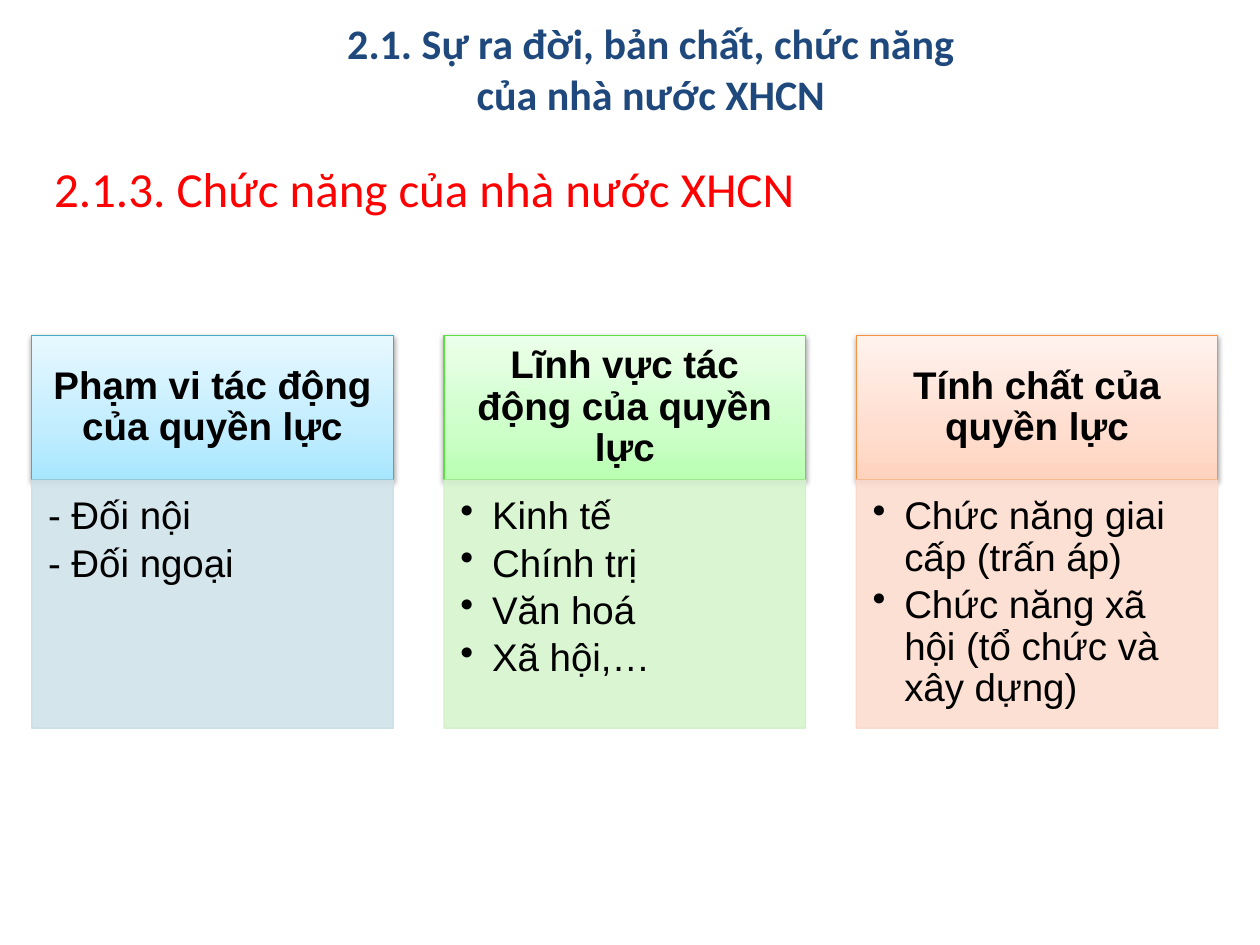
from pptx import Presentation
from pptx.dml.color import RGBColor
from pptx.enum.shapes import MSO_SHAPE
from pptx.enum.text import MSO_ANCHOR, MSO_AUTO_SIZE, PP_ALIGN
from pptx.oxml import parse_xml
from pptx.oxml.ns import nsdecls, qn
from pptx.oxml.xmlchemy import OxmlElement
from pptx.util import Cm, Pt

TITLE = "2.1. Sự ra đời, bản chất, chức năng của nhà nước XHCN"
SUBTITLE = "2.1.3. Chức năng của nhà nước XHCN"
COLUMNS = [
    {"heading": "Phạm vi tác động của quyền lực", "bullet": None, "palette": "blue",
     "items": ["- Đối nội", "- Đối ngoại"]},
    {"heading": "Lĩnh vực tác động của quyền lực", "bullet": "•", "palette": "green",
     "items": ["Kinh tế", "Chính trị", "Văn hoá", "Xã hội,…"]},
    {"heading": "Tính chất của quyền lực", "bullet": "•", "palette": "orange",
     "items": ["Chức năng giai cấp (trấn áp)", "Chức năng xã hội (tổ chức và xây dựng)"]},
]

THEME = {
    "title": {"font": "Calibri", "size": 24, "color": "1F497D", "bold": True},
    "subtitle": {"font": "Calibri", "size": 28, "color": "FF0000", "bold": False},
    "heading": {"font": "Arial", "size": 22, "color": "000000", "bold": True},
    "item": {"font": "Arial", "size": 22, "color": "000000", "bold": False},
    "blue": {"gradient": ("A7E6FF", "C1EDFF", "E7F8FF"), "edge": "46AAC5",
             "body": "D0E3EA", "body_edge": "CBDEE5"},
    "green": {"gradient": ("B9FFB2", "CDFFC9", "ECFFEA"), "edge": "5BE041",
              "body": "D6F4CE", "body_edge": "D1F0C9"},
    "orange": {"gradient": ("FFD2BD", "FFDED0", "FFF2ED"), "edge": "F69240",
               "body": "FCDDCF", "body_edge": "F8D8C9"},
    "gradient_positions": (0, 35, 100),
    "body_opacity": 90,
    "line_width": 0.75,
}

COLUMN_LEFT, COLUMN_WIDTH, COLUMN_PITCH = Cm(0.64), Cm(7.29), Cm(8.31)
HEADING_TOP, HEADING_HEIGHT, BODY_HEIGHT = Cm(6.76), Cm(2.92), Cm(5)
HANGING = Cm(0.64)
HEADING_MARGINS = (Cm(0.43), Cm(0.25), Cm(0.43), Cm(0.25))
BODY_MARGINS = (Cm(0.33), Cm(0.33), Cm(0.43), Cm(0.48))
TEXT_MARGINS = (Cm(0.25), Cm(0.13), Cm(0.25), Cm(0.13))


def prepare_frame(shape, margins, anchor):
    frame = shape.text_frame
    frame.word_wrap = True
    frame.auto_size = MSO_AUTO_SIZE.NONE
    frame.vertical_anchor = anchor
    frame.margin_left, frame.margin_top, frame.margin_right, frame.margin_bottom = margins
    return frame


def write(paragraph, text, style, alignment, line_spacing=1.0):
    paragraph.alignment = alignment
    paragraph.line_spacing = line_spacing
    paragraph.space_before = Pt(0)
    run = paragraph.add_run()
    run.text = text
    font = run.font
    font.name, font.size, font.bold = style["font"], Pt(style["size"]), style["bold"]
    font.color.rgb = RGBColor.from_string(style["color"])


def set_indent(paragraph, bullet, hanging):
    properties = paragraph._p.get_or_add_pPr()
    properties.set("marL", str(hanging))
    properties.set("indent", str(-hanging))
    mark = OxmlElement("a:buChar" if bullet else "a:buNone")
    if bullet:
        mark.set("char", bullet)
    properties.append(mark)


def fill_placeholder(placeholder, box, text, style, alignment):
    placeholder.left, placeholder.top, placeholder.width, placeholder.height = box
    paragraph = prepare_frame(placeholder, TEXT_MARGINS, MSO_ANCHOR.TOP).paragraphs[0]
    write(paragraph, text, style, alignment)
    set_indent(paragraph, None, 0)


def add_box(slide, left, top, height, edge):
    shape = slide.shapes.add_shape(MSO_SHAPE.RECTANGLE, left, top, COLUMN_WIDTH, height)
    shape.shadow.inherit = False
    shape.line.width = Pt(THEME["line_width"])
    shape.line.color.rgb = RGBColor.from_string(edge)
    return shape


def apply_gradient(shape, colors):
    shape.fill.gradient()
    shape.fill.gradient_angle = 90
    stops = shape._element.spPr.find(qn("a:gradFill")).find(qn("a:gsLst"))
    for stop in list(stops):
        stops.remove(stop)
    for position, color in zip(THEME["gradient_positions"], colors):
        stops.append(parse_xml(
            f'<a:gs {nsdecls("a")} pos="{position * 1000}"><a:srgbClr val="{color}"/></a:gs>'))


def apply_shadow(shape):
    shape._element.spPr.find(qn("a:effectLst")).append(parse_xml(
        f'<a:outerShdw {nsdecls("a")} blurRad="40000" dist="20000" dir="5400000" rotWithShape="0">'
        '<a:srgbClr val="000000"><a:alpha val="38000"/></a:srgbClr></a:outerShdw>'))


def apply_opacity(shape, percent):
    for color in shape._element.spPr.iter(qn("a:srgbClr")):
        alpha = OxmlElement("a:alpha")
        alpha.set("val", str(percent * 1000))
        color.append(alpha)


def add_column(slide, left, column):
    palette = THEME[column["palette"]]
    heading = add_box(slide, left, HEADING_TOP, HEADING_HEIGHT, palette["edge"])
    apply_gradient(heading, palette["gradient"])
    apply_shadow(heading)
    frame = prepare_frame(heading, HEADING_MARGINS, MSO_ANCHOR.MIDDLE)
    write(frame.paragraphs[0], column["heading"], THEME["heading"], PP_ALIGN.CENTER, 0.9)

    body = add_box(slide, left, HEADING_TOP + HEADING_HEIGHT, BODY_HEIGHT, palette["body_edge"])
    body.fill.solid()
    body.fill.fore_color.rgb = RGBColor.from_string(palette["body"])
    apply_opacity(body, THEME["body_opacity"])
    frame = prepare_frame(body, BODY_MARGINS, MSO_ANCHOR.TOP)
    for index, item in enumerate(column["items"]):
        paragraph = frame.add_paragraph() if index else frame.paragraphs[0]
        paragraph.level = 1
        write(paragraph, item, THEME["item"], PP_ALIGN.LEFT, 0.9)
        paragraph.space_after = Pt(3.3)
        set_indent(paragraph, column["bullet"], HANGING)


def main():
    presentation = Presentation()
    presentation.slide_width, presentation.slide_height = Cm(25.4), Cm(19.05)
    slide = presentation.slides.add_slide(presentation.slide_layouts[1])
    fill_placeholder(slide.shapes.title, (Cm(6.35), Cm(0.23), Cm(13.54), Cm(2.31)),
                     TITLE, THEME["title"], PP_ALIGN.CENTER)
    fill_placeholder(slide.placeholders[1], (Cm(0.84), Cm(3.07), Cm(21.59), Cm(1.45)),
                     SUBTITLE, THEME["subtitle"], PP_ALIGN.JUSTIFY)
    for index, column in enumerate(COLUMNS):
        add_column(slide, COLUMN_LEFT + index * COLUMN_PITCH, column)
    presentation.save("out.pptx")


if __name__ == "__main__":
    main()
